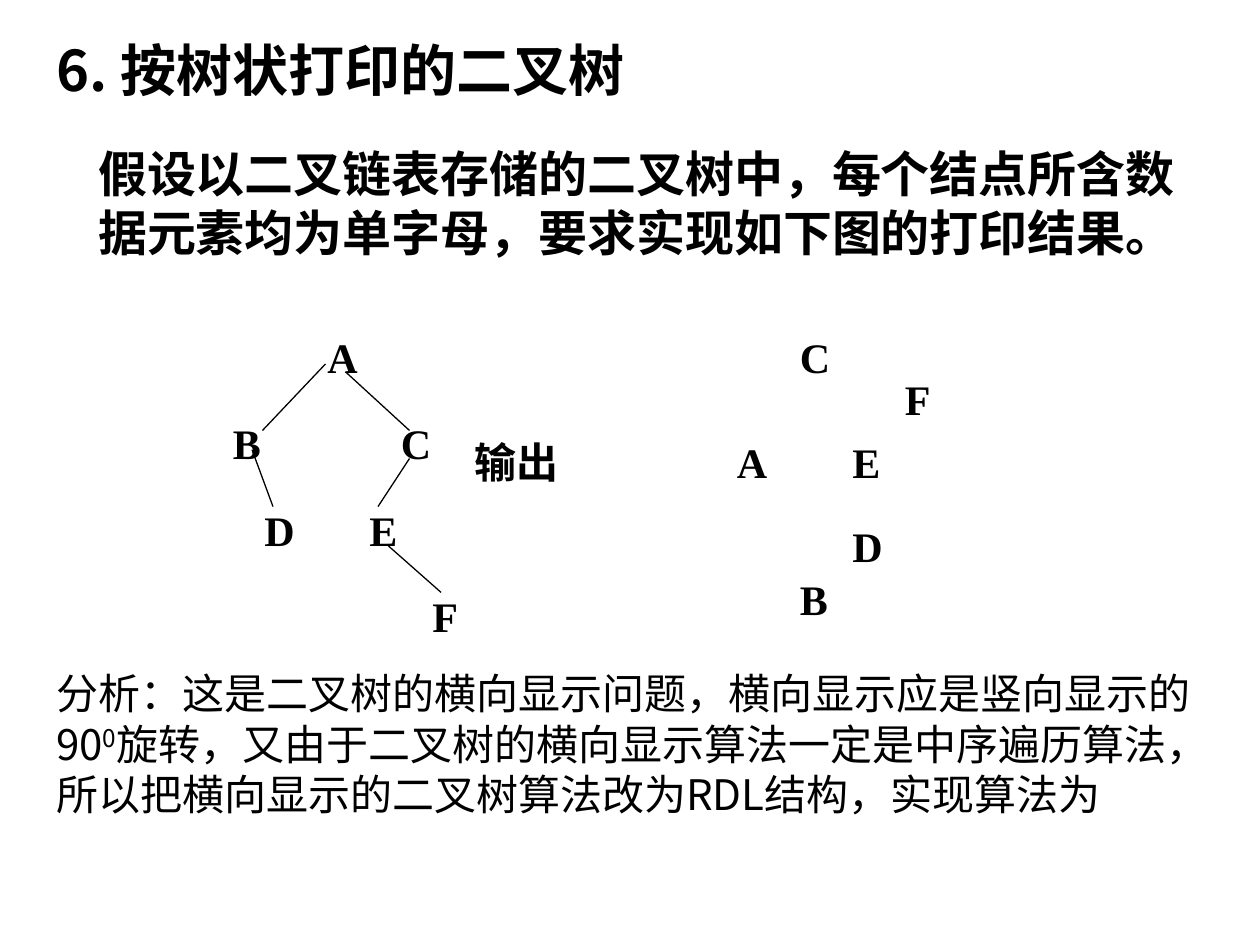
from lxml.etree import SubElement
from pptx import Presentation
from pptx.dml.color import RGBColor
from pptx.enum.shapes import MSO_CONNECTOR as Connector
from pptx.enum.text import MSO_AUTO_SIZE as AutoSize
from pptx.oxml.ns import qn
from pptx.util import Pt

COLORS = {"ink": "000000", "paper": "FFFFFF"}
SANS = "Noto Sans CJK SC"
SERIF = "Times New Roman"
LEVEL = 49.25


def add_text(slide, box, pieces, size, face=SANS, bold=True):
    """Place one paragraph; every second piece is a superscript."""
    label = slide.shapes.add_textbox(*map(Pt, box))
    frame = label.text_frame
    frame.word_wrap = True
    frame.auto_size = AutoSize.SHAPE_TO_FIT_TEXT
    paragraph = frame.paragraphs[0]
    font = paragraph.font
    font.name, font.size, font.bold = face, Pt(size), bold
    font.color.rgb = RGBColor.from_string(COLORS["ink"])
    SubElement(font._element, qn("a:ea")).set("typeface", SANS)
    for index, piece in enumerate(pieces):
        run = paragraph.add_run()
        run.text = piece
        if index % 2:
            run.font._element.set("baseline", "30000")


def add_nodes(slide, left, top, nodes):
    """Place node letters at offsets from the region's corner."""
    for letter, x, y in nodes:
        add_text(slide, (left + x, top + y, 36, 36), [letter], 24, SERIF)


def add_tree(slide, left, top):
    """Draw the linked binary tree."""
    add_nodes(slide, left, top, [
        ("A", 54, 0), ("B", 0, LEVEL), ("C", 96, LEVEL),
        ("D", 18, 2 * LEVEL), ("E", 78, 2 * LEVEL), ("F", 114, 3 * LEVEL),
    ])
    branches = [
        (60, 22, 24, 60), (72, 27, 108, 60), (18, 71, 30, 103.5),
        (108, 76, 90, 103.5), (96, 126, 126, 152.5),
    ]
    for x1, y1, x2, y2 in branches:
        ends = (left + x1, top + y1, left + x2, top + y2)
        branch = slide.shapes.add_connector(Connector.STRAIGHT, *map(Pt, ends))
        branch.line.color.rgb = RGBColor.from_string(COLORS["ink"])
        branch.line.width = Pt(0.75)
        SubElement(branch._element.spPr, qn("a:effectLst"))


def add_printout(slide, left, top):
    """Place the letters as the sideways printout shows them."""
    add_nodes(slide, left, top, [
        ("C", 36, 0), ("F", 96, 24), ("A", 0, 60),
        ("E", 66, 60), ("D", 66, 108), ("B", 36, 138),
    ])


def main():
    """Build and save the slide."""
    deck = Presentation()
    deck.slide_width, deck.slide_height = Pt(720), Pt(540)
    slide = deck.slides.add_slide(deck.slide_layouts[6])
    backdrop = slide.background.fill
    backdrop.solid()
    backdrop.fore_color.rgb = RGBColor.from_string(COLORS["paper"])

    add_text(slide, (25, 17, 660, 46), ["6. 按树状打印的二叉树"], 32)
    add_text(slide, (49, 78.5, 648, 74), [
        "假设以二叉链表存储的二叉树中，每个结点所含数据元素均为单字母，"
        "要求实现如下图的打印结果。"], 28)
    add_tree(slide, 126, 186)
    add_text(slide, (264, 246, 72, 36), ["输出"], 24, SERIF)
    add_printout(slide, 414, 186)
    add_text(slide, (25, 378, 670, 94), [
        "分析：这是二叉树的横向显示问题，横向显示应是竖向显示的90", "0",
        "旋转，又由于二叉树的横向显示算法一定是中序遍历算法，"
        "所以把横向显示的二叉树算法改为RDL结构，实现算法为"], 24, bold=False)
    deck.save("out.pptx")


if __name__ == "__main__":
    main()
